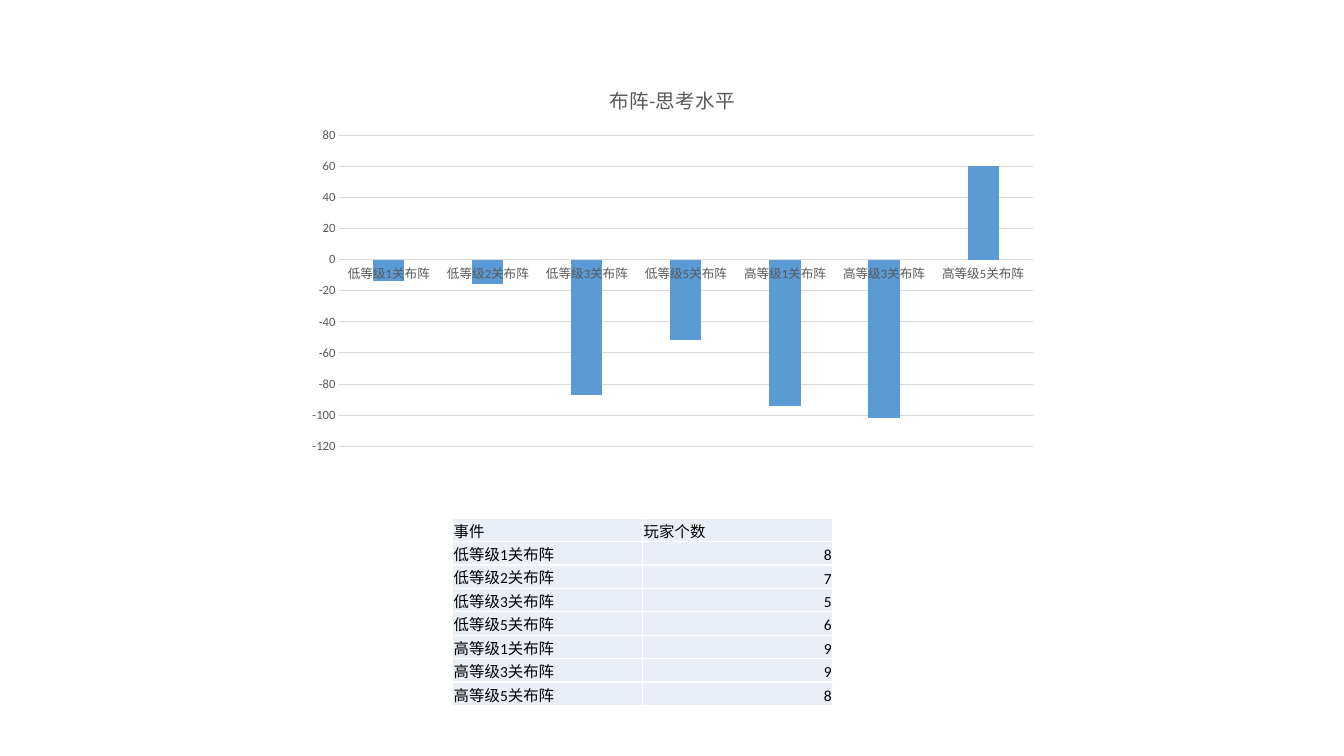
from lxml.etree import SubElement
from pptx import Presentation
from pptx.chart.data import CategoryChartData
from pptx.dml.color import RGBColor
from pptx.enum.chart import XL_CHART_TYPE, XL_TICK_MARK
from pptx.enum.text import MSO_ANCHOR, PP_ALIGN
from pptx.oxml.ns import qn
from pptx.util import Inches, Pt

TITLE = "布阵-思考水平"
HEADINGS = ("事件", "玩家个数")
# event, thinking level, number of players
EVENTS = [
    ("低等级1关布阵", -14, 8),
    ("低等级2关布阵", -16, 7),
    ("低等级3关布阵", -87, 5),
    ("低等级5关布阵", -52, 6),
    ("高等级1关布阵", -94, 9),
    ("高等级3关布阵", -102, 9),
    ("高等级5关布阵", 60, 8),
]
FONT = "Calibri"
WHITE, BLACK, GREY, RULE = "FFFFFF", "000000", "595959", "D9D9D9"
BAR, CELL = "5B9BD5", "EAEFF7"
LEVEL_BOX = (2.95, 0.66, 7.44, 3.92)
PLAYERS_BOX = (4.49, 5.14, 3.77, 1.86)


def color(code):
    """Turn a hex string into a colour."""
    return RGBColor.from_string(code)


def apply(target, **values):
    """Set attributes of an object from a dict of values."""
    for key, value in values.items():
        setattr(target, key, value)


def style_font(font, size, code):
    """Give text its typeface, size and colour."""
    apply(font, name=FONT, size=Pt(size), bold=False)
    font.color.rgb = color(code)


def paint(fill, code):
    """Fill with one solid colour."""
    fill.solid()
    fill.fore_color.rgb = color(code)


def rule(line, code):
    """Draw a thin line in one colour."""
    line.width = Pt(0.75)
    line.color.rgb = color(code)


def add_levels(slide):
    """Add the column chart of thinking levels."""
    data = CategoryChartData()
    data.categories = [event for event, _, _ in EVENTS]
    data.add_series(TITLE, [level for _, level, _ in EVENTS])
    chart = slide.shapes.add_chart(
        XL_CHART_TYPE.COLUMN_CLUSTERED, *map(Inches, LEVEL_BOX), data).chart
    chart.has_legend = False
    style_font(chart.font, 10, BLACK)
    heading = chart.chart_title.text_frame
    heading.text = TITLE
    style_font(heading.paragraphs[0].runs[0].font, 14, GREY)
    chart.chart_title.include_in_layout = False

    for axis in (chart.category_axis, chart.value_axis):
        apply(axis, major_tick_mark=XL_TICK_MARK.NONE,
              minor_tick_mark=XL_TICK_MARK.NONE)
        style_font(axis.tick_labels.font, 9, GREY)
    rule(chart.category_axis.format.line, RULE)
    levels = chart.value_axis
    apply(levels, minimum_scale=-120, maximum_scale=80, major_unit=20)
    levels.format.line.fill.background()
    rule(levels.major_gridlines.format.line, RULE)

    plot = chart.plots[0]
    apply(plot, gap_width=219, overlap=-27, vary_by_categories=False)
    bars = plot.series[0]
    bars.invert_if_negative = False
    paint(bars.format.fill, BAR)


def add_borders(cell):
    """Draw a white border on all four sides of a cell."""
    props = cell._tc.get_or_add_tcPr()
    for place, side in enumerate(("lnL", "lnR", "lnT", "lnB")):
        line = SubElement(props, qn(f"a:{side}"), w=str(Pt(1)))
        solid = SubElement(line, qn("a:solidFill"))
        SubElement(solid, qn("a:srgbClr"), val=WHITE)
        props.insert(place, line)


def add_players(slide):
    """Add the table of player counts."""
    rows = [HEADINGS] + [(event, str(count)) for event, _, count in EVENTS]
    left, top, width, height = map(Inches, PLAYERS_BOX)
    table = slide.shapes.add_table(
        len(rows), len(HEADINGS), left, top, width, height).table
    for r, row in enumerate(rows):
        for c, text in enumerate(row):
            cell = table.cell(r, c)
            is_event = r > 0 and c == 0
            apply(cell, text=text, margin_left=Inches(0.01),
                  margin_right=Inches(0.01), margin_top=Inches(0.01),
                  margin_bottom=0,
                  vertical_anchor=MSO_ANCHOR.MIDDLE if is_event
                  else MSO_ANCHOR.BOTTOM)
            line = cell.text_frame.paragraphs[0]
            line.alignment = PP_ALIGN.RIGHT if r and c else PP_ALIGN.LEFT
            style_font(line.runs[0].font, 11, BLACK)
            paint(cell.fill, CELL)
            add_borders(cell)


deck = Presentation()
apply(deck, slide_width=Inches(13.33), slide_height=Inches(7.5))
page = deck.slides.add_slide(deck.slide_layouts[6])
paint(page.background.fill, WHITE)
add_players(page)
add_levels(page)
deck.save("out.pptx")
